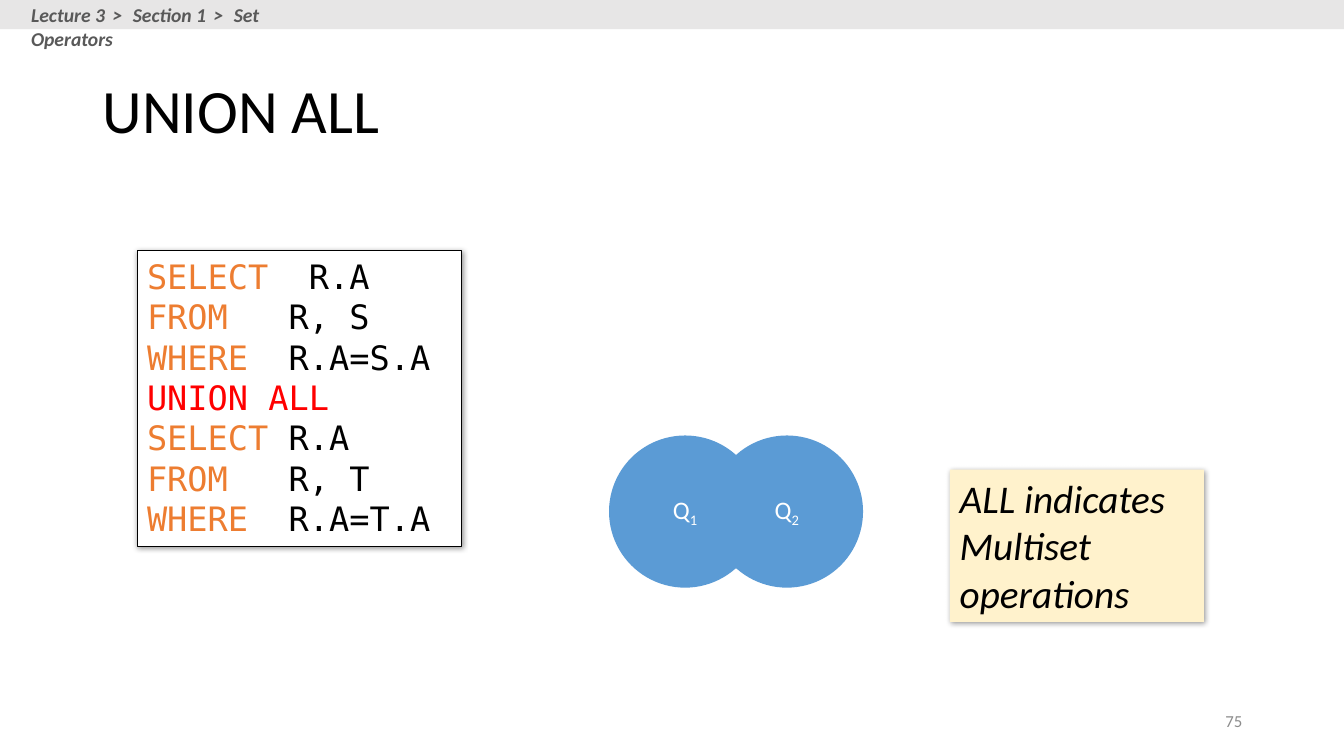
from dataclasses import dataclass
from typing import Optional

from lxml import etree
from pptx import Presentation
from pptx.dml.color import RGBColor
from pptx.enum.shapes import MSO_SHAPE
from pptx.enum.text import MSO_ANCHOR, MSO_AUTO_SIZE, PP_ALIGN
from pptx.oxml.ns import qn
from pptx.util import Emu, Pt

PX = 9144  # 100 px to the inch
RECTANGLE, ELLIPSE = MSO_SHAPE.RECTANGLE, MSO_SHAPE.OVAL
LEFT, CENTER, RIGHT = PP_ALIGN.LEFT, PP_ALIGN.CENTER, PP_ALIGN.RIGHT
TOP, MIDDLE = MSO_ANCHOR.TOP, MSO_ANCHOR.MIDDLE
GROW, FIXED = MSO_AUTO_SIZE.SHAPE_TO_FIT_TEXT, MSO_AUTO_SIZE.NONE


@dataclass(frozen=True)
class Theme:
    body_font: str = "Calibri"
    code_font: str = "DejaVu Sans Mono"
    black: str = "000000"
    white: str = "FFFFFF"
    keyword: str = "ED7D31"
    highlight: str = "FF0000"
    header_fill: str = "E7E6E6"
    header_text: str = "595959"
    page_number: str = "8C8C8C"
    circle: str = "5B9BD5"
    note: str = "FFF2CC"
    title_size: int = 44
    note_size: int = 28
    code_size: int = 24
    circle_size: int = 18
    header_size: int = 14
    number_size: int = 12


THEME = Theme()


@dataclass(frozen=True)
class Run:
    text: str
    color: str = THEME.black
    baseline: int = 0
    tracking: int = 0


@dataclass(frozen=True)
class Box:
    left: int
    top: int
    width: int
    height: int
    lines: tuple[tuple[Run, ...], ...] = ()
    size: int = THEME.note_size
    font: str = THEME.body_font
    bold: bool = False
    italic: bool = False
    align: PP_ALIGN = LEFT
    anchor: MSO_ANCHOR = TOP
    auto_size: MSO_AUTO_SIZE = FIXED
    line_spacing: float = 1.0
    preset: Optional[MSO_SHAPE] = None
    fill: str = THEME.white
    outline: Optional[str] = None
    shadow: bool = False


def add_shadow(shape) -> None:
    effects = shape._element.spPr.find(qn("a:effectLst"))
    outer = etree.SubElement(effects, qn("a:outerShdw"), blurRad=str(Pt(4)),
                             dist=str(Pt(1)), dir="2700000", algn="tl", rotWithShape="0")
    color = etree.SubElement(outer, qn("a:srgbClr"), val=THEME.black)
    etree.SubElement(color, qn("a:alpha"), val="40000")


def write_text(shape, box: Box) -> None:
    frame = shape.text_frame
    frame_format = {"word_wrap": True, "auto_size": box.auto_size,
                    "vertical_anchor": box.anchor}
    for name, value in frame_format.items():
        setattr(frame, name, value)
    font_format = {"name": box.font, "size": Pt(box.size),
                   "bold": box.bold, "italic": box.italic}
    for index, line in enumerate(box.lines):
        paragraph = frame.add_paragraph() if index else frame.paragraphs[0]
        paragraph.alignment = box.align
        paragraph.line_spacing = box.line_spacing
        for item in line:
            run = paragraph.add_run()
            run.text = item.text
            for name, value in font_format.items():
                setattr(run.font, name, value)
            run.font.color.rgb = RGBColor.from_string(item.color)
            for name, value in {"baseline": item.baseline, "spc": item.tracking}.items():
                if value:
                    run.font._element.set(name, str(value))


def add_box(shapes, box: Box) -> None:
    """Draw a preset shape, or a plain text box when no preset is given."""
    place = [Emu(value * PX) for value in (box.left, box.top, box.width, box.height)]
    if box.preset is None:
        shape = shapes.add_textbox(*place)
    else:
        shape = shapes.add_shape(box.preset, *place)
        shape.shadow.inherit = False
        shape.fill.solid()
        shape.fill.fore_color.rgb = RGBColor.from_string(box.fill)
        if box.outline:
            shape.line.color.rgb = RGBColor.from_string(box.outline)
            shape.line.width = Pt(0.75)
        else:
            shape.line.fill.background()
        if box.shadow:
            add_shadow(shape)
    if box.lines:
        write_text(shape, box)


def add_group(shapes, boxes: list[Box]) -> None:
    group = shapes.add_group_shape()
    for box in boxes:
        add_box(group.shapes, box)


def clause(keyword: str, rest: str) -> tuple[Run, ...]:
    return Run(keyword, THEME.keyword), Run(rest)


def query_circle(number: int) -> Box:
    label = (Run("Q", THEME.white), Run(str(number), THEME.white, baseline=-25000))
    return Box(604 + 101 * (number - 1), 432, 151, 151, (label,), THEME.circle_size,
               align=CENTER, anchor=MIDDLE, preset=ELLIPSE, fill=THEME.circle)


def breadcrumb(*steps: str) -> tuple[Run, ...]:
    """Join the steps with widely tracked arrows."""
    runs = [Run(steps[0], THEME.header_text)]
    for step in steps[1:]:
        runs += [Run(" > ", THEME.header_text, tracking=210), Run(step, THEME.header_text)]
    return tuple(runs)


TITLE = Box(92, 40, 1150, 145, ((Run("UNION ALL"),),), THEME.title_size,
            anchor=MIDDLE, line_spacing=0.9)
PAGE_NUMBER = Box(942, 695, 300, 40, ((Run("75", THEME.page_number),),),
                  THEME.number_size, align=RIGHT, anchor=MIDDLE)
QUERY = Box(136, 249, 322, 293, (
    clause("SELECT", "  R.A"),
    clause("FROM", "   R, S"),
    clause("WHERE", "  R.A=S.A"),
    (Run("UNION ALL", THEME.highlight),),
    clause("SELECT", " R.A"),
    clause("FROM", "   R, T"),
    clause("WHERE", "  R.A=T.A"),
), THEME.code_size, THEME.code_font, auto_size=GROW, preset=RECTANGLE,
    outline=THEME.black, shadow=True)
HEADER = [
    Box(0, 0, 1333, 29, preset=RECTANGLE, fill=THEME.header_fill),
    Box(21, -2, 327, 34, (breadcrumb("Lecture 3", "Section 1", "Set Operators"),),
        THEME.header_size, bold=True, italic=True),
]
NOTE = Box(942, 466, 252, 151, ((Run("ALL indicates Multiset operations"),),),
           THEME.note_size, italic=True, auto_size=GROW, preset=RECTANGLE,
           fill=THEME.note, shadow=True)


def main() -> None:
    presentation = Presentation()
    presentation.slide_width, presentation.slide_height = Emu(1333 * PX), Emu(750 * PX)
    slide = presentation.slides.add_slide(presentation.slide_layouts[6])
    for box in (TITLE, PAGE_NUMBER, QUERY):
        add_box(slide.shapes, box)
    add_group(slide.shapes, HEADER)
    add_group(slide.shapes, [query_circle(number) for number in (1, 2)])
    add_box(slide.shapes, NOTE)
    presentation.save("out.pptx")


if __name__ == "__main__":
    main()
